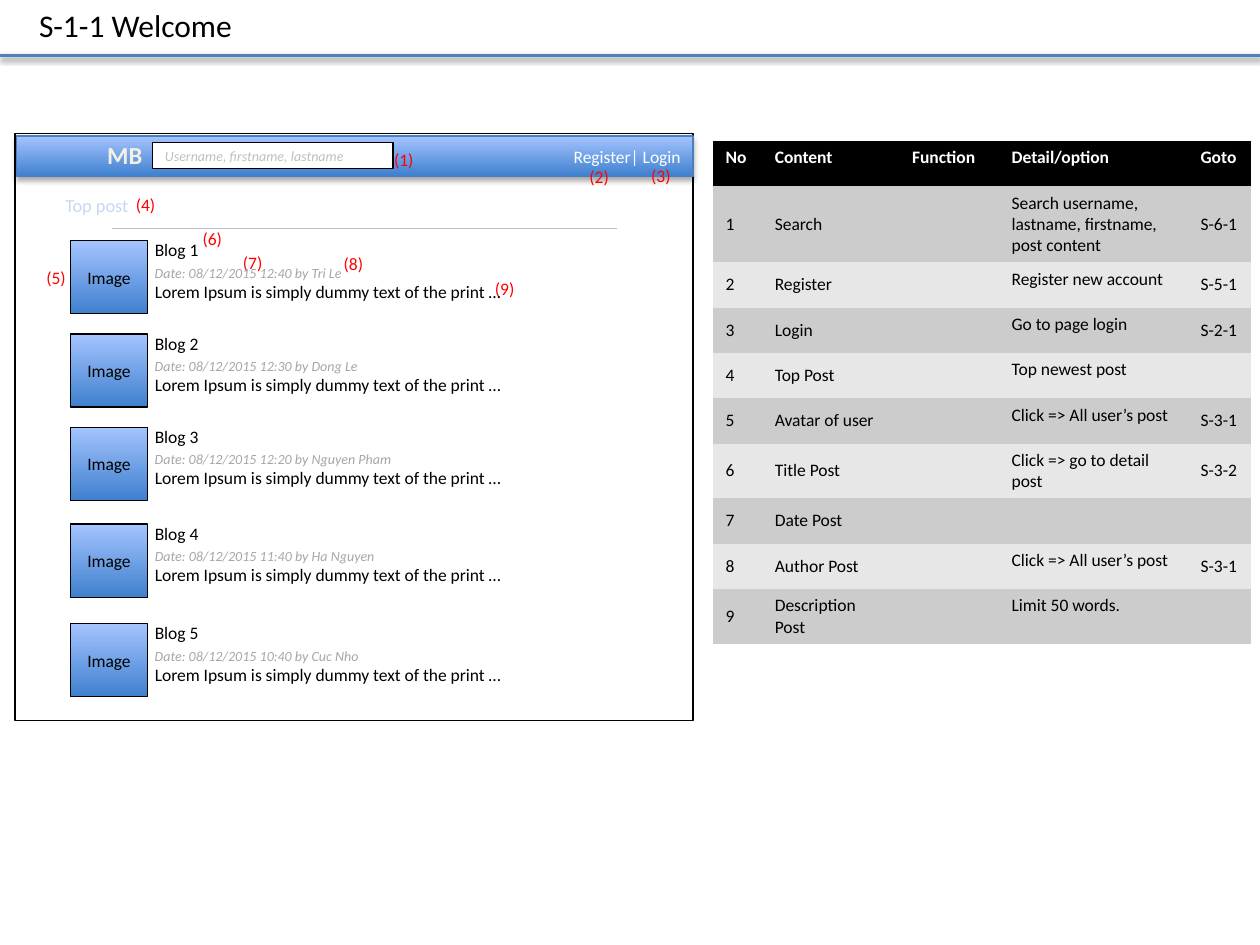
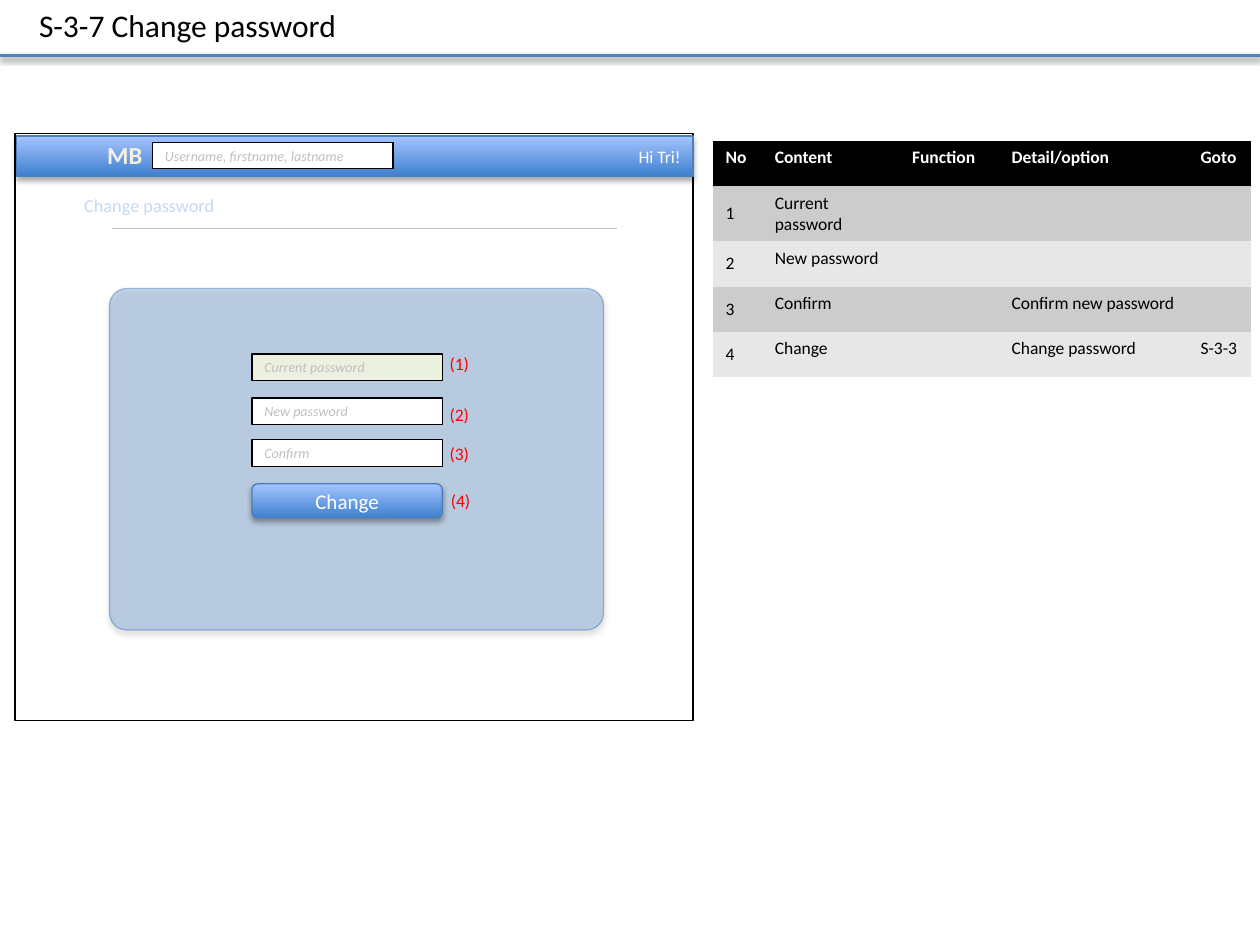
from dataclasses import dataclass
from typing import Any, NamedTuple, Optional

from lxml import etree
from pptx import Presentation
from pptx import util as u
from pptx.dml.color import RGBColor
from pptx.enum import shapes, text
from pptx.oxml.ns import qn

ALIGN = text.PP_ALIGN
ANCHOR = text.MSO_ANCHOR
SHAPE = shapes.MSO_SHAPE


@dataclass(frozen=True)
class Theme:
    font: str = "Calibri"
    title: float = 18
    logo: float = 14
    button: float = 12
    heading: float = 10.5
    body: float = 10
    small: float = 8
    black: str = "000000"
    white: str = "FFFFFF"
    rule: str = "4F81BD"
    border: str = "4B7EBC"
    grad_bottom: str = "3F80CE"
    grad_top: str = "A4C4FF"
    panel: str = "558ED5"
    heading_color: str = "C6D9F1"
    logo_color: str = "F4F1E3"
    logo_outline: str = "054697"
    hint: str = "BFBFBF"
    meta: str = "A6A6A6"
    mark: str = "FF0000"
    active: str = "EBF1DE"
    bands: tuple[str, str] = ("CCCCCC", "E7E7E7")


T = Theme()
NO_STYLE = "{2D5ABB26-0587-4C30-8999-92F81FD0307C}"
COLUMNS = {"No": 0.39, "Content": 1.09, "Function": 0.79, "Detail/option": 1.5, "Goto": 0.5}
ROW_HEIGHT = 0.36


class Box(NamedTuple):
    left: float
    top: float
    width: float
    height: float

    def emu(self) -> list[int]:
        return [u.Inches(v) for v in self]


class Style(NamedTuple):
    size: float = T.body
    color: str = T.black
    bold: bool = False
    italic: bool = False
    align: Any = ALIGN.LEFT


class Mark(NamedTuple):
    number: int
    left: float
    top: float


class Post(NamedTuple):
    top: float
    date: str
    author: str
    date_width: float


class Field(NamedTuple):
    label: str
    top: float
    fill: str = T.white


class Row(NamedTuple):
    content: str
    detail: str = ""
    goto: str = ""


HINT = Style(T.small, T.hint, italic=True)
META = Style(T.small, T.meta, italic=True)
MARK = Style(color=T.mark)
CENTER = Style(align=ALIGN.CENTER)


def rgb(value: str) -> RGBColor:
    return RGBColor.from_string(value)


def write(tf, words: str, style: Style) -> None:
    tf.text = words
    for p in tf.paragraphs:
        p.alignment = style.align
        for r in p.runs:
            r.font.name = T.font
            r.font.size = u.Pt(style.size)
            r.font.bold = style.bold
            r.font.italic = style.italic
            r.font.color.rgb = rgb(style.color)


def set_alpha(parent, percent: int) -> None:
    color = parent.find(qn("a:solidFill"))[0]
    etree.SubElement(color, qn("a:alpha"), val=str(percent * 1000))


def add_shadow(sp, distance: float, percent: int) -> None:
    spPr = sp._element.spPr
    effects = spPr.find(qn("a:effectLst"))
    if effects is None:
        effects = etree.SubElement(spPr, qn("a:effectLst"))
    outer = etree.SubElement(effects, qn("a:outerShdw"), blurRad=str(u.Pt(3.1)),
                             dist=str(u.Pt(distance)), dir="5400000", rotWithShape="0")
    color = etree.SubElement(outer, qn("a:srgbClr"), val=T.black)
    etree.SubElement(color, qn("a:alpha"), val=str(percent * 1000))


def add_box(s, box: Box, fill: Optional[str] = None, line: str = T.black,
            words: str = "", style: Style = Style(), kind=SHAPE.RECTANGLE,
            raised: bool = False):
    sp = s.shapes.add_shape(kind, *box.emu())
    sp.shadow.inherit = False
    if fill:
        sp.fill.solid()
        sp.fill.fore_color.rgb = rgb(fill)
    else:
        sp.fill.gradient()
        sp.fill.gradient_angle = 90
        for stop, color in zip(sp.fill.gradient_stops, (T.grad_bottom, T.grad_top)):
            stop.color.rgb = rgb(color)
    sp.line.color.rgb = rgb(line)
    sp.line.width = u.Pt(0.75)
    if raised:
        add_shadow(sp, 1.8, 35)
    if words:
        sp.text_frame.vertical_anchor = ANCHOR.MIDDLE
        write(sp.text_frame, words, style)
    return sp


def add_text(s, box: Box, words: str, style: Style = Style(), wrap: bool = False):
    sp = s.shapes.add_textbox(*box.emu())
    tf = sp.text_frame
    tf.word_wrap = wrap
    tf.auto_size = text.MSO_AUTO_SIZE.SHAPE_TO_FIT_TEXT
    write(tf, words, style)
    return sp


def add_rule(s, left: float, right: float, top: float, color: str, width: float):
    sp = s.shapes.add_connector(shapes.MSO_CONNECTOR.STRAIGHT, u.Inches(left),
                                u.Inches(top), u.Inches(right), u.Inches(top))
    sp.line.color.rgb = rgb(color)
    sp.line.width = u.Pt(width)
    etree.SubElement(sp._element.spPr, qn("a:effectLst"))
    return sp


def add_marks(s, marks: list[Mark]) -> None:
    for mark in marks:
        add_text(s, Box(mark.left, mark.top, 0.36, 0.27), f"({mark.number})", MARK)


def add_title(s, words: str, width: float) -> None:
    sp = s.shapes.title
    sp.left, sp.top, sp.width, sp.height = Box(0.21, 0, width, 0.4).emu()
    tf = sp.text_frame
    tf.word_wrap = False
    tf.auto_size = text.MSO_AUTO_SIZE.SHAPE_TO_FIT_TEXT
    tf.vertical_anchor = ANCHOR.TOP
    write(tf, words, Style(T.title))


def add_logo(s) -> None:
    style = Style(T.logo, T.logo_color, bold=True, align=ALIGN.CENTER)
    sp = add_text(s, Box(0.75, 1.06, 0.48, 0.34), "MB", style)
    rPr = sp.text_frame.paragraphs[0].runs[0]._r.get_or_add_rPr()
    ln = etree.Element(qn("a:ln"), w=str(u.Pt(1)))
    fill = etree.SubElement(ln, qn("a:solidFill"))
    etree.SubElement(fill, qn("a:srgbClr"), val=T.logo_outline)
    rPr.insert(0, ln)


def add_screen(prs, title: str, title_width: float, account: str,
               heading: str, heading_box: Box):
    s = prs.slides.add_slide(prs.slide_layouts[5])
    add_title(s, title, title_width)
    add_shadow(add_rule(s, 0, 10, 0.44, T.rule, 2), 1.6, 38)
    add_box(s, Box(0.12, 1.06, 5.38, 4.66), T.white)
    add_box(s, Box(0.13, 1.08, 5.37, 0.32), line=T.border, words=account,
            style=Style(color=T.white, align=ALIGN.RIGHT), raised=True)
    add_rule(s, 0.89, 4.9, 1.81, T.hint, 0.25)
    add_text(s, heading_box, heading, Style(T.heading, T.heading_color))
    add_logo(s)
    add_box(s, Box(1.21, 1.13, 1.91, 0.21), T.white,
            words="Username, firstname, lastname", style=HINT)
    return s


def add_spec_table(s, rows: list[Row], middle: set[int]) -> None:
    lines = [tuple(COLUMNS)]
    lines += [(str(n), row.content, "", row.detail, row.goto) for n, row in enumerate(rows, 1)]
    box = Box(5.66, 1.12, sum(COLUMNS.values()), ROW_HEIGHT * len(lines))
    table = s.shapes.add_table(len(lines), len(COLUMNS), *box.emu()).table
    table.first_row = table.horz_banding = False
    table._tbl.tblPr.find(qn("a:tableStyleId")).text = NO_STYLE
    for column, width in zip(table.columns, COLUMNS.values()):
        column.width = u.Inches(width)
    for i, line in enumerate(lines):
        table.rows[i].height = u.Inches(ROW_HEIGHT)
        style = Style() if i else Style(color=T.white, bold=True)
        for j, words in enumerate(line):
            cell = table.cell(i, j)
            cell.fill.solid()
            cell.fill.fore_color.rgb = rgb(T.bands[(i - 1) % 2] if i else T.black)
            cell.vertical_anchor = ANCHOR.MIDDLE if i and j in middle else ANCHOR.TOP
            write(cell.text_frame, words, style)
            if not words:
                p = cell.text_frame.paragraphs[0]._p
                etree.SubElement(p, qn("a:endParaRPr"), sz=str(int(T.body * 100)))


def add_post(s, number: int, post: Post) -> None:
    left = 1.13
    add_text(s, Box(left, post.top, 0.55, 0.27), f"Blog {number}")
    add_text(s, Box(left, post.top + 0.2, post.date_width, 0.24),
             f"Date: 08/12/2015 {post.date} by {post.author}", META)
    add_text(s, Box(left, post.top + 0.33, 3.51, 0.27),
             "Lorem Ipsum is simply dummy text of the print …",
             Style(align=ALIGN.JUSTIFY), wrap=True)
    add_box(s, Box(0.56, post.top + 0.06, 0.61, 0.58), words="Image", style=CENTER)


def build_welcome(prs) -> None:
    s = add_screen(prs, "S-1-1 Welcome", 1.76, "Register| Login",
                   "Top post", Box(0.42, 1.49, 0.72, 0.28))
    add_spec_table(s, [
        Row("Search", "Search username, lastname, firstname, post content", "S-6-1"),
        Row("Register", "Register new account", "S-5-1"),
        Row("Login", "Go to page login", "S-2-1"),
        Row("Top Post", "Top newest post"),
        Row("Avatar of user", "Click => All user’s post", "S-3-1"),
        Row("Title Post", "Click => go to detail post", "S-3-2"),
        Row("Date Post"),
        Row("Author Post", "Click => All user’s post", "S-3-1"),
        Row("Description Post", "Limit 50 words."),
    ], middle={0, 1, 4})
    add_marks(s, [
        Mark(1, 3.03, 1.13), Mark(2, 4.58, 1.27), Mark(3, 5.07, 1.26),
        Mark(4, 0.98, 1.49), Mark(5, 0.27, 2.07), Mark(6, 1.51, 1.76),
        Mark(7, 1.83, 1.95), Mark(8, 2.63, 1.96), Mark(9, 3.83, 2.16),
    ])
    posts = [
        Post(1.85, "12:40", "Tri Le", 1.74),
        Post(2.59, "12:30", "Dong Le", 1.86),
        Post(3.33, "12:20", "Nguyen Pham", 2.13),
        Post(4.1, "11:40", "Ha Nguyen", 1.99),
        Post(4.89, "10:40", "Cuc Nho", 1.87),
    ]
    for number, post in enumerate(posts, 1):
        add_post(s, number, post)


def build_change_password(prs) -> None:
    s = add_screen(prs, "S-3-7 Change password", 2.59, "Hi Tri!",
                   "Change password", Box(0.57, 1.49, 1.26, 0.28))
    add_spec_table(s, [
        Row("Current password"),
        Row("New password"),
        Row("Confirm", "Confirm new password"),
        Row("Change", "Change password", "S-3-3"),
    ], middle={0})
    panel = add_box(s, Box(0.87, 2.29, 3.92, 2.71), T.panel, T.border,
                    kind=SHAPE.ROUNDED_RECTANGLE, raised=True)
    panel.adjustments[0] = 0.05
    spPr = panel._element.spPr
    set_alpha(spPr, 30)
    set_alpha(spPr.find(qn("a:ln")), 50)
    add_marks(s, [Mark(1, 3.47, 2.75), Mark(2, 3.47, 3.16),
                  Mark(3, 3.47, 3.47), Mark(4, 3.48, 3.84)])
    for field in (Field("Current password", 2.81, T.active),
                  Field("New password", 3.16), Field("Confirm", 3.49)):
        add_box(s, Box(2, field.top, 1.51, 0.21), field.fill, words=field.label, style=HINT)
    add_box(s, Box(2, 3.84, 1.51, 0.27), line=T.border, words="Change",
            style=Style(T.button, T.white, align=ALIGN.CENTER),
            kind=SHAPE.ROUNDED_RECTANGLE, raised=True)


prs = Presentation()
prs.slide_width, prs.slide_height = u.Inches(10), u.Inches(7.5)
build_welcome(prs)
build_change_password(prs)
prs.save("out.pptx")
